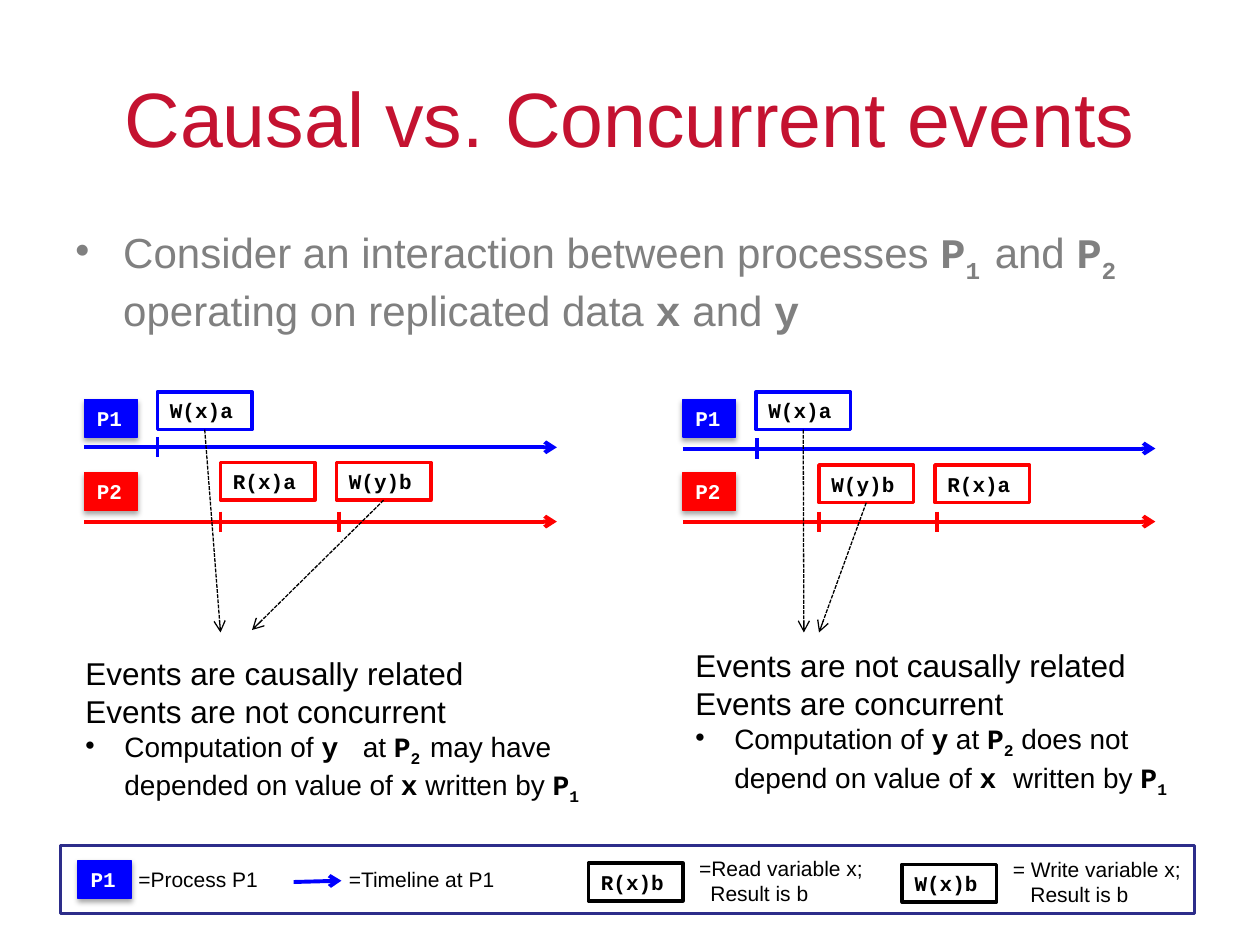
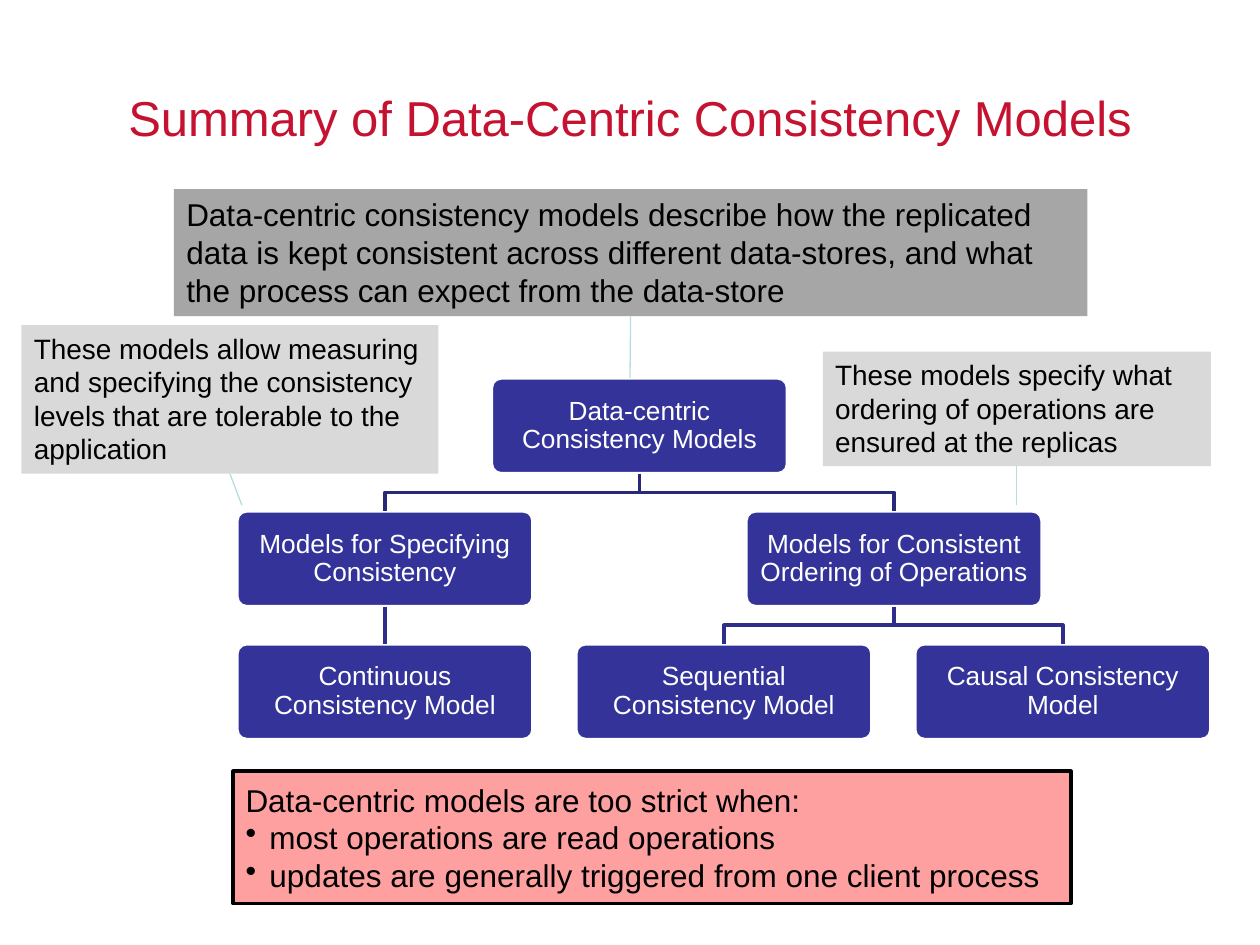
from dataclasses import dataclass
from typing import NamedTuple, Optional

from lxml import etree
from pptx import Presentation
from pptx.dml.color import RGBColor
from pptx.enum.dml import MSO_LINE
from pptx.enum.shapes import MSO_CONNECTOR, MSO_SHAPE
from pptx.enum.text import MSO_ANCHOR, PP_ALIGN
from pptx.oxml.ns import qn
from pptx.util import Inches, Pt

RECT, ROUND_RECT = MSO_SHAPE.RECTANGLE, MSO_SHAPE.ROUNDED_RECTANGLE
STRAIGHT = MSO_CONNECTOR.STRAIGHT
DASH = MSO_LINE.SQUARE_DOT
TOP, MIDDLE = MSO_ANCHOR.TOP, MSO_ANCHOR.MIDDLE
LEFT, CENTER = PP_ALIGN.LEFT, PP_ALIGN.CENTER
TOP_SIDE, BOTTOM_SIDE = 0, 2


@dataclass(frozen=True)
class Theme:
    sans: str = "Arial"
    mono: str = "Courier New"
    title: str = "C41230"
    body: str = "808080"
    black: str = "000000"
    white: str = "FFFFFF"
    p1: str = "0000FF"
    p2: str = "FF0000"
    legend: str = "2D2D8A"
    node: str = "333399"
    edges: tuple[str, str] = ("29297B", "2E2E8B")
    note: str = "D9D9D9"
    definition: str = "A6A6A6"
    leader: str = "B6DCDF"
    warning: str = "FFA0A0"
    title_size: float = 44
    long_title_size: float = 28
    body_size: float = 24
    lead_size: float = 18
    note_size: float = 16
    node_size: float = 15
    label_size: float = 12
    thin: float = 0.75
    border: float = 2
    timeline: float = 2.25


THEME = Theme()


class Box(NamedTuple):
    left: float
    top: float
    width: float
    height: float


class Run(NamedTuple):
    text: str
    code: bool = False
    sub: bool = False


@dataclass
class Para:
    runs: list[Run]
    size: float
    color: str = THEME.black
    align: PP_ALIGN = LEFT
    hang: float = 0
    indent: float = 0
    before: float = 0
    spacing: Optional[float] = None


class Event(NamedTuple):
    label: str
    process: int
    offset: float
    tick_shift: float = 0
    target: Optional[tuple[float, float]] = None


class Panel(NamedTuple):
    left: float
    p1_line: float
    p2_event_top: float
    events: list[Event]
    verdict_box: Box
    verdict: list[str]
    reason: list[Run]


class Node(NamedTuple):
    label: str
    left: float
    level: int
    parent: Optional[int] = None


def code(text: str) -> Run:
    return Run(text, code=True)


def sub(text: str) -> Run:
    return Run(text, code=True, sub=True)


def plain(text: str, size: float, **style) -> Para:
    return Para([Run(text)], size, **style)


def rgb(value: str) -> RGBColor:
    return RGBColor.from_string(value)


def write(shape, paras: list[Para], anchor=TOP, inset: Optional[float] = None) -> None:
    frame = shape.text_frame
    frame.word_wrap = True
    frame.vertical_anchor = anchor
    if inset is not None:
        frame.margin_left = frame.margin_right = Inches(inset)
        frame.margin_top = frame.margin_bottom = Inches(inset)
    for index, para in enumerate(paras):
        line = frame.add_paragraph() if index else frame.paragraphs[0]
        line.alignment = para.align
        line.space_before = Pt(para.before)
        if para.spacing:
            line.line_spacing = para.spacing
        properties = line._p.get_or_add_pPr()
        if para.hang or para.indent:
            properties.set("marL", str(Inches(para.hang + para.indent)))
            properties.set("indent", str(-Inches(para.hang)))
        if para.hang:
            etree.SubElement(properties, qn("a:buChar"), char="•")
        for part in para.runs:
            run = line.add_run()
            run.text = part.text
            run.font.name = THEME.mono if part.code else THEME.sans
            run.font.size = Pt(para.size)
            run.font.bold = part.code
            run.font.color.rgb = rgb(para.color)
            if part.sub:
                run.font._element.set("baseline", "-25000")


def add_text(slide, box: Box, paras: list[Para], anchor=TOP) -> None:
    write(slide.shapes.add_textbox(*map(Inches, box)), paras, anchor)


def add_box(slide, box: Box, fill: str, border: Optional[str] = None,
            width: float = THEME.border, kind=RECT):
    shape = slide.shapes.add_shape(kind, *map(Inches, box))
    shape.shadow.inherit = False
    shape.fill.solid()
    shape.fill.fore_color.rgb = rgb(fill)
    if border:
        shape.line.color.rgb = rgb(border)
        shape.line.width = Pt(width)
    else:
        shape.line.fill.background()
    return shape


def add_line(slide, start, end, color: str, width: float, arrow=False, dash=None):
    line = slide.shapes.add_connector(STRAIGHT, *map(Inches, (*start, *end)))
    line.line.color.rgb = rgb(color)
    line.line.width = Pt(width)
    if dash:
        line.line.dash_style = dash
    if arrow:
        etree.SubElement(line.line._get_or_add_ln(), qn("a:tailEnd"), type="arrow")
    etree.SubElement(line._element.spPr, qn("a:effectLst"))
    return line


def add_title(slide, text: str, size: float) -> None:
    add_text(slide, Box(0.5, 0.3, 9, 1.25),
             [plain(text, size, color=THEME.title, align=CENTER)], MIDDLE)


def add_process_tag(slide, left: float, top: float, label: str, color: str) -> None:
    tag = add_box(slide, Box(left, top, 0.42, 0.3), color, color, THEME.thin)
    effects = tag._element.spPr.find(qn("a:effectLst"))
    shadow = etree.SubElement(effects, qn("a:outerShdw"), blurRad=str(Pt(3.1)),
                              dist=str(Pt(1.8)), dir="5400000", rotWithShape="0")
    tint = etree.SubElement(shadow, qn("a:srgbClr"), val=THEME.black)
    etree.SubElement(tint, qn("a:alpha"), val="35000")
    write(tag, [Para([code(label)], THEME.label_size, THEME.white)])


def add_operation(slide, left: float, top: float, label: str, color: str):
    operation = add_box(slide, Box(left, top, 0.75, 0.3), THEME.white, color)
    write(operation, [Para([code(label)], THEME.label_size)])
    return operation


def add_panel(slide, panel: Panel) -> None:
    colors = (THEME.p1, THEME.p2)
    line_tops = (panel.p1_line, 4.14)
    event_tops = (3.11, panel.p2_event_top)
    for label, tag_top, y, color in zip(("P1", "P2"), (3.17, 3.75), line_tops, colors):
        add_line(slide, (panel.left, y), (panel.left + 3.75, y), color,
                 THEME.timeline, arrow=True)
        add_process_tag(slide, panel.left, tag_top, label, color)
    for event in panel.events:
        color, y = colors[event.process], line_tops[event.process]
        left, top = panel.left + event.offset, event_tops[event.process]
        operation = add_operation(slide, left, top, event.label, color)
        tick = left + event.tick_shift
        add_line(slide, (tick, y - 0.08), (tick, y + 0.08), color, THEME.timeline)
        if event.target:
            pointer = add_line(slide, (left, top), event.target, THEME.black,
                               THEME.thin, arrow=True, dash=DASH)
            pointer.begin_connect(operation, BOTTOM_SIDE)
    add_text(slide, panel.verdict_box,
             [plain(text, THEME.lead_size) for text in panel.verdict]
             + [Para(panel.reason, THEME.note_size, hang=0.31)])


def add_legend(slide) -> None:
    add_box(slide, Box(0.48, 6.71, 9, 0.54), THEME.white, THEME.legend)
    add_process_tag(slide, 0.62, 6.83, "P1", THEME.p1)
    add_line(slide, (2.33, 7), (2.71, 6.99), THEME.p1, THEME.timeline, arrow=True)
    for left, meaning in ((1, "=Process P1"), (2.67, "=Timeline at P1")):
        add_text(slide, Box(left, 6.83, 1.5, 0.3), [plain(meaning, THEME.label_size)])
    for left, top, label, meaning, indent in (
            (4.67, 6.85, "R(x)b", "=Read variable x;", 0.09),
            (7.16, 6.86, "W(x)b", "= Write variable x;", 0.14)):
        add_operation(slide, left, top, label, THEME.black)
        add_text(slide, Box(left + 0.78, top - 0.11, 1.56, 0.5),
                 [plain(meaning, THEME.label_size),
                  plain("Result is b", THEME.label_size, indent=indent)])


PANELS = [
    Panel(0.67, 3.55, 3.67,
          [Event("W(x)a", 0, 0.58, target=(1.75, 5.02)), Event("R(x)a", 1, 1.08),
           Event("W(y)b", 1, 2, 0.02, (2, 5))],
          Box(0.58, 5.14, 4.17, 1.51),
          ["Events are causally related", "Events are not concurrent"],
          [Run("Computation of "), code("y "), Run(" at "), code("P"), sub("2 "),
           Run("may have depended on value of "), code("x"), Run(" written by "),
           code("P"), sub("1")]),
    Panel(5.42, 3.56, 3.69,
          [Event("W(x)a", 0, 0.58, 0.01, (6.38, 5.02)),
           Event("W(y)b", 1, 1.08, target=(6.5, 5.02)), Event("R(x)a", 1, 2, 0.02)],
          Box(5.42, 5.08, 4, 1.25),
          ["Events are not causally related", "Events are concurrent"],
          [Run("Computation of "), code("y"), Run(" at "), code("P"), sub("2"),
           Run(" does not depend on value of "), code("x "), Run("written by "),
           code("P"), sub("1")]),
]

NODES = [
    Node("Data-centric Consistency Models", 3.9, 0),
    Node("Models for Specifying Consistency", 1.88, 1, 0),
    Node("Models for Consistent Ordering of Operations", 5.92, 1, 0),
    Node("Continuous Consistency Model", 1.88, 2, 1),
    Node("Sequential Consistency Model", 4.57, 2, 2),
    Node("Causal Consistency Model", 7.26, 2, 2),
]


def add_edge(slide, parent, child, color: str) -> None:
    start_x, end_x = (node.left + node.width // 2 for node in (parent, child))
    start_y, end_y = parent.top + parent.height, child.top
    if start_x == end_x:
        edge = add_line(slide, (0, 0), (0, 0), color, THEME.border)
        edge.begin_connect(parent, BOTTOM_SIDE)
        edge.end_connect(child, TOP_SIDE)
        return
    bend_y = (start_y + end_y) // 2
    outline = slide.shapes.build_freeform(start_x, start_y)
    outline.add_line_segments([(start_x, bend_y), (end_x, bend_y), (end_x, end_y)],
                              close=False)
    edge = outline.convert_to_shape()
    edge.shadow.inherit = False
    edge.fill.background()
    edge.line.color.rgb = rgb(color)
    edge.line.width = Pt(THEME.border)


def add_tree(slide) -> None:
    drawn = []
    for node in NODES:
        shape = add_box(slide, Box(node.left, 3 + 1.055 * node.level, 2.35, 0.76),
                        THEME.node, THEME.white, kind=ROUND_RECT)
        shape.adjustments[0] = 0.1
        write(shape, [plain(node.label, THEME.node_size, color=THEME.white,
                            align=CENTER, spacing=0.9)], MIDDLE, 0.08)
        drawn.append(shape)
    for node, shape in zip(NODES, drawn):
        if node.parent is not None:
            add_edge(slide, drawn[node.parent], shape, THEME.edges[node.level - 1])


def add_callout(slide, box: Box, fill: str, text: str, size: float, target) -> None:
    callout = add_box(slide, box, fill)
    write(callout, [plain(text, size)])
    leader = add_line(slide, target, target, THEME.leader, THEME.thin)
    leader.end_connect(callout, BOTTOM_SIDE)


def build_events_slide(slide) -> None:
    add_title(slide, "Causal vs. Concurrent events", THEME.title_size)
    interaction = [Run("Consider an interaction between processes "), code("P"),
                   sub("1 "), Run("and "), code("P"), sub("2 "),
                   Run("operating on replicated data "), code("x"), Run(" and "), code("y")]
    add_text(slide, Box(0.5, 1.75, 9, 1.2),
             [Para(interaction, THEME.body_size, THEME.body, hang=0.38, before=4.8)])
    for panel in PANELS:
        add_panel(slide, panel)
    add_legend(slide)


def build_summary_slide(slide) -> None:
    add_title(slide, "Summary of Data-Centric Consistency Models", THEME.long_title_size)
    add_tree(slide)
    add_callout(slide, Box(0.17, 2.58, 3.31, 1.18), THEME.note,
                "These models allow measuring and specifying the consistency levels "
                "that are tolerable to the application", THEME.note_size, (1.92, 4.01))
    add_callout(slide, Box(6.53, 2.79, 3.08, 0.91), THEME.note,
                "These models specify what ordering of operations are ensured at the "
                "replicas", THEME.note_size, (8.07, 4.01))
    add_callout(slide, Box(1.38, 1.5, 7.25, 1.01), THEME.definition,
                "Data-centric consistency models describe how the replicated data is "
                "kept consistent across different data-stores, and what the process "
                "can expect from the data-store", THEME.lead_size, (5, 3))
    warning = add_box(slide, Box(1.85, 6.12, 6.65, 1.05), THEME.warning, THEME.black)
    write(warning, [
        plain("Data-centric models are too strict when:", THEME.lead_size),
        plain("most operations are read operations", THEME.lead_size, hang=0.19),
        plain("updates are generally triggered from one client process",
              THEME.lead_size, hang=0.19)], MIDDLE)


def main() -> None:
    deck = Presentation()
    deck.slide_width, deck.slide_height = Inches(10), Inches(7.5)
    for build in (build_events_slide, build_summary_slide):
        build(deck.slides.add_slide(deck.slide_layouts[6]))
    deck.save("out.pptx")


if __name__ == "__main__":
    main()
